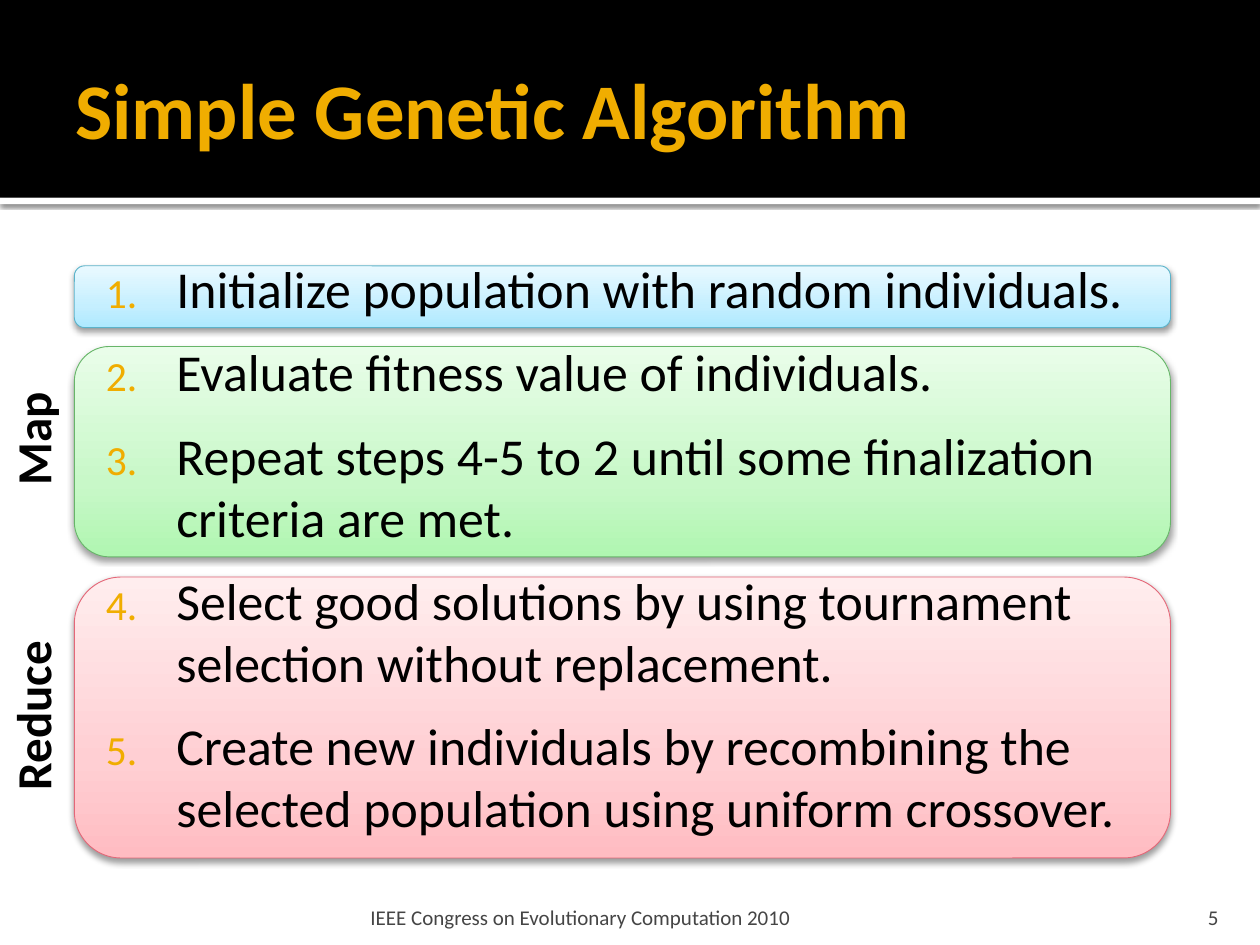
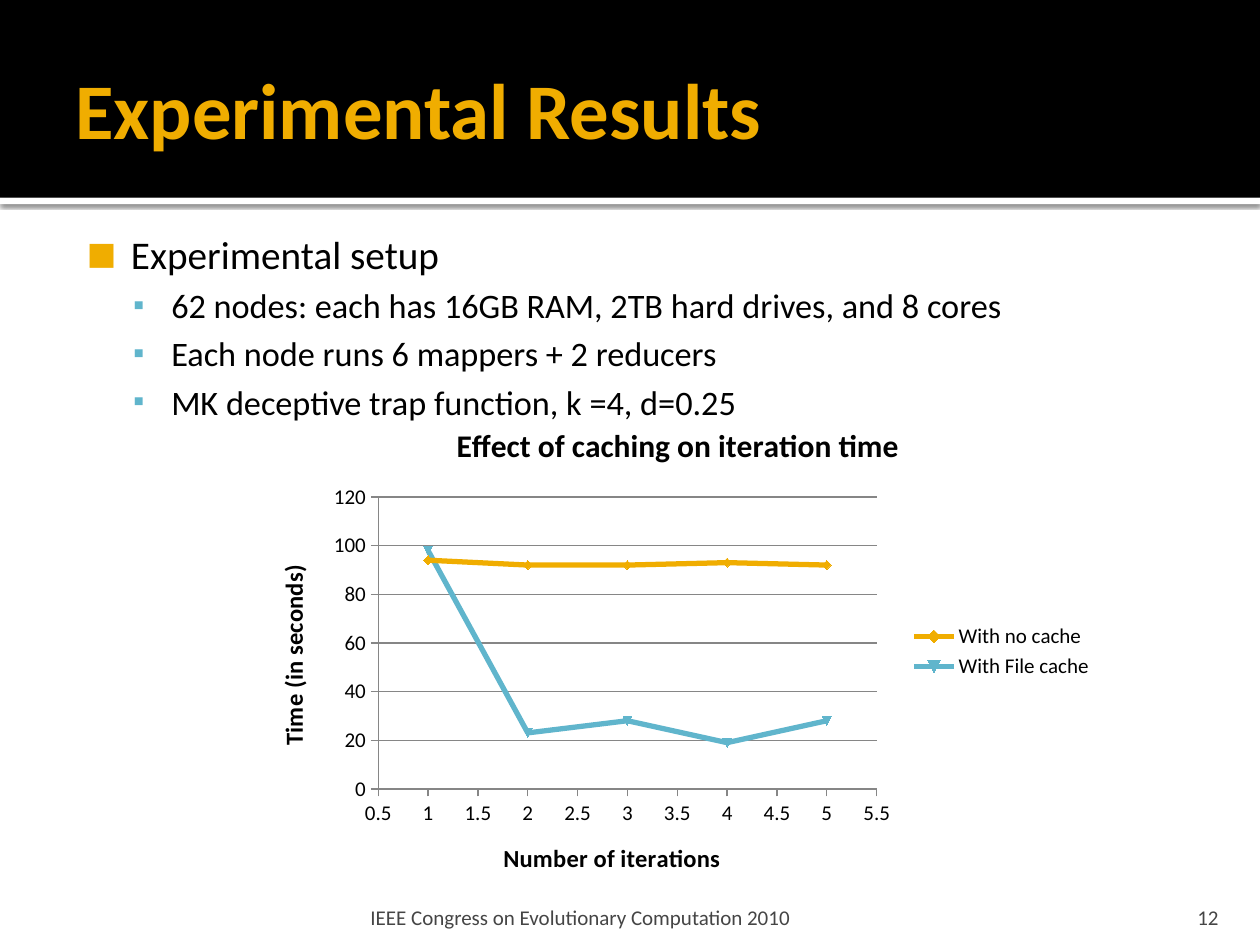
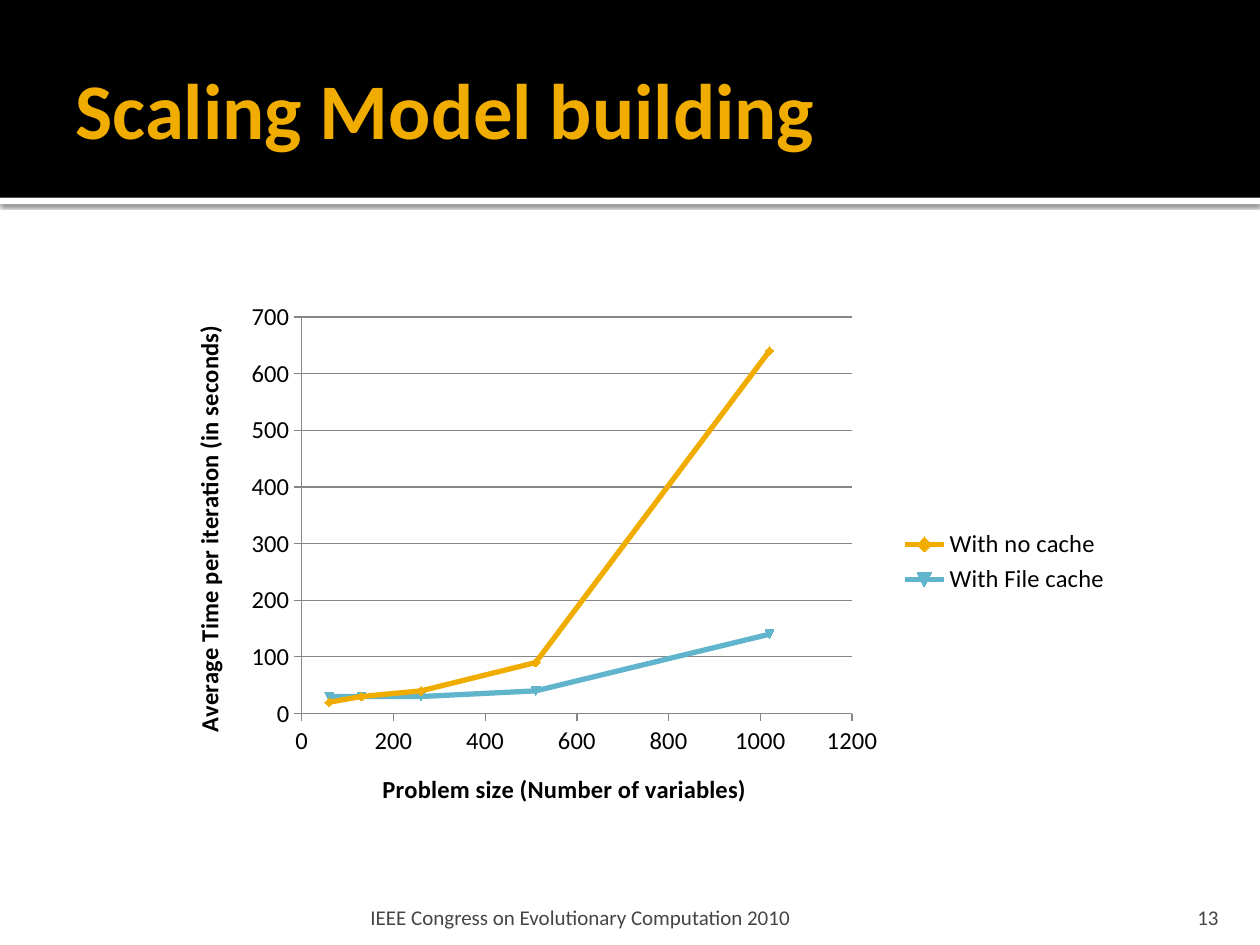
from lxml import etree
from pptx import Presentation
from pptx.chart.data import XyChartData
from pptx.dml.color import RGBColor
from pptx.enum.chart import XL_CHART_TYPE, XL_LEGEND_POSITION, XL_MARKER_STYLE, XL_TICK_MARK
from pptx.enum.shapes import MSO_SHAPE
from pptx.enum.text import MSO_ANCHOR, PP_ALIGN
from pptx.oxml.ns import qn
from pptx.util import Inches, Pt

SCATTER = XL_CHART_TYPE.XY_SCATTER_LINES
RIGHT = XL_LEGEND_POSITION.RIGHT
AUTO = XL_MARKER_STYLE.AUTOMATIC
OUT = XL_TICK_MARK.OUTSIDE
RECT, ROUND = MSO_SHAPE.RECTANGLE, MSO_SHAPE.ROUNDED_RECTANGLE
TOP, MID, LOW = MSO_ANCHOR.TOP, MSO_ANCHOR.MIDDLE, MSO_ANCHOR.BOTTOM
END = PP_ALIGN.RIGHT

FONT = "Calibri"
COLORS = {"black": "000000", "white": "FFFFFF", "gold": "F0AD00",
          "blue": "60B5CC", "gray": "454545", "axis": "868686"}
FOOTER = "IEEE Congress on Evolutionary Computation 2010"

STEPS = [
    "Initialize population with random individuals.",
    "Evaluate fitness value of individuals.",
    "Repeat steps 4-5 to 2 until some finalization criteria are met.",
    "Select good solutions by using tournament selection without replacement.",
    "Create new individuals by recombining the selected population using uniform crossover.",
]
PANELS = [
    (4.58, 2.23, "E46778", ("FFBCC2", "FFCFD3", "FFEDEE")),
    (2.75, 1.67, "67B569", ("B0F6B1", "C8F8C8", "E9FDE9")),
    (2.11, 0.49, "5BB3CA", ("ADE9FF", "C5EFFF", "E9F9FF")),
]
PHASES = [("Map", 3, 0.95), ("Reduce", 4.89, 1.48)]
SETUP = [
    (0, "Experimental setup"),
    (1, "62 nodes: each has 16GB RAM, 2TB hard drives, and 8 cores"),
    (1, "Each node runs 6 mappers + 2 reducers"),
    (1, "MK deceptive trap function, k =4, d=0.25"),
]
LEVELS = [
    dict(size=22.4, left=0.48, hang=0.35, before=0, mark="■", color="gold", scale=80),
    dict(size=19.6, left=0.8, hang=0.3, before=4, mark="▪", color="blue", scale=90),
]
CACHING = dict(
    box=(1.98, 3.18, 6.8, 3.98), title="Effect of caching on iteration time", size=12,
    names=("Number of iterations", "Time (in seconds)"),
    scales=((0.5, 5.5, 0.5), (0, 120, 20)), x=[1, 2, 3, 4, 5],
    series=[("With no cache", "gold", [94, 92, 92, 93, 92]),
            ("With File cache", "blue", [98, 23, 28, 19, 28])])
SCALING = dict(
    box=(1.31, 2.31, 7.6, 4.3), title=None, size=14,
    names=("Problem size (Number of variables)", "Average Time per iteration (in seconds)"),
    scales=((0, 1200, 200), (0, 700, 100)), x=[60, 130, 260, 510, 1020],
    series=[("With no cache", "gold", [20, 30, 40, 90, 640]),
            ("With File cache", "blue", [30, 30, 30, 40, 140])])


def rgb(name):
    return RGBColor.from_string(COLORS.get(name, name))


def add(node, tag, **attrs):
    return etree.SubElement(node, qn(tag), {key: str(val) for key, val in attrs.items()})


def style(font, size, color="black", bold=False):
    font.name, font.size, font.bold = FONT, Pt(size), bold
    font.color.rgb = rgb(color)


def block(slide, kind, box, fill):
    shape = slide.shapes.add_shape(kind, *map(Inches, box))
    shape.shadow.inherit = False
    shape.fill.solid()
    shape.fill.fore_color.rgb = rgb(fill)
    shape.line.fill.background()
    return shape


def shade(shape, alpha, blur, dist):
    glow = add(shape._element.spPr.find(qn("a:effectLst")), "a:outerShdw",
               blurRad=Pt(blur), dist=Pt(dist), dir=5400000, algn="ctr", rotWithShape=0)
    add(add(glow, "a:srgbClr", val=COLORS["black"]), "a:alpha", val=alpha * 1000)


def blend(shape, stops):
    old = shape._element.spPr.find(qn("a:solidFill"))
    grad = etree.Element(qn("a:gradFill"), rotWithShape="1")
    group = add(grad, "a:gsLst")
    for pos, color in zip((0, 35, 100), stops):
        add(add(group, "a:gs", pos=pos * 1000), "a:srgbClr", val=color)
    add(grad, "a:lin", ang=270 * 60000, scaled=1)
    old.getparent().replace(old, grad)


def frame(slide, box, pads=(0.1, 0.05, 0.1, 0.05), anchor=TOP):
    text = slide.shapes.add_textbox(*map(Inches, box)).text_frame
    text.word_wrap = True
    text.vertical_anchor = anchor
    text.margin_left, text.margin_top, text.margin_right, text.margin_bottom = map(Inches, pads)
    return text


def label(slide, box, words, size, color, bold=False, **opts):
    text = frame(slide, box, **opts)
    text.text = words
    style(text.paragraphs[0].runs[0].font, size, color, bold)
    return text


def bullet(para, left, hang, color, scale, mark=None):
    props = para._p.get_or_add_pPr()
    props.set("marL", str(Inches(left)))
    props.set("indent", str(-Inches(hang)))
    add(add(props, "a:buClr"), "a:srgbClr", val=COLORS[color])
    add(props, "a:buSzPct", val=scale * 1000)
    add(props, "a:buFont", typeface=FONT)
    if mark:
        add(props, "a:buChar", char=mark)
    else:
        add(props, "a:buAutoNum", type="arabicPeriod")


def start(deck, title, number):
    slide = deck.slides.add_slide(deck.slide_layouts[6])
    shade(block(slide, RECT, (0, 1.57, 10, 0.05), "white"), 60, 2.5, 0.8)
    block(slide, RECT, (0, 0, 10, 1.57), "black")
    label(slide, (0.5, 0.17, 9, 1.37), title, 45, "gold", True,
          pads=(0.1, 0.05, 0.05, 0.05), anchor=MID)
    label(slide, (2.89, 7.08, 6.02, 0.3), FOOTER, 12, "gray",
          pads=(0.05, 0.05, 0.05, 0), anchor=LOW)
    page = label(slide, (8.97, 7.08, 0.8, 0.3), str(number), 12, "gray",
                 pads=(0.1, 0.05, 0.1, 0), anchor=LOW)
    page.paragraphs[0].alignment = END
    return slide


def body(slide, box, lines):
    text = frame(slide, box, pads=(0.06, 0.1, 0.1, 0.05))
    text.text = "\n".join(lines)
    return text.paragraphs


def heading(text, words, size):
    text.text = words
    style(text.paragraphs[0].runs[0].font, size, bold=True)


def plot(slide, info):
    data = XyChartData()
    for name, _, values in info["series"]:
        series = data.add_series(name)
        for x, y in zip(info["x"], values):
            series.add_data_point(x, y)
    chart = slide.shapes.add_chart(SCATTER, *map(Inches, info["box"]), data).chart
    style(chart.font, 10)
    chart.has_title = bool(info["title"])
    if info["title"]:
        heading(chart.chart_title.text_frame, info["title"], 18)
    chart.has_legend = True
    chart.legend.position = RIGHT
    chart.legend.include_in_layout = False
    style(chart.legend.font, info["size"])
    axes = (chart.category_axis, chart.value_axis)
    for axis, name, (low, high, step) in zip(axes, info["names"], info["scales"]):
        heading(axis.axis_title.text_frame, name, 14)
        axis.minimum_scale, axis.maximum_scale, axis.major_unit = low, high, step
        axis.major_tick_mark = OUT
        axis.tick_labels.number_format = "General"
        axis.tick_labels.number_format_is_linked = False
        style(axis.tick_labels.font, info["size"])
        axis.format.line.color.rgb = rgb("axis")
    chart.category_axis.has_major_gridlines = False
    chart.value_axis.major_gridlines.format.line.color.rgb = rgb("axis")
    chart.plots[0].vary_by_categories = False
    for series, (_, color, _) in zip(chart.plots[0].series, info["series"]):
        series.smooth = False
        series.format.line.width = Pt(3)
        series.format.line.color.rgb = rgb(color)
        series.marker.style, series.marker.size = AUTO, 5
        series.marker.format.fill.solid()
        series.marker.format.fill.fore_color.rgb = rgb(color)
        series.marker.format.line.color.rgb = rgb(color)


def steps(deck):
    slide = start(deck, "Simple Genetic Algorithm", 5)
    for top, high, edge, stops in PANELS:
        panel = block(slide, ROUND, (0.59, top, 8.7, high), stops[0])
        blend(panel, stops)
        panel.line.color.rgb = rgb(edge)
        panel.line.width = Pt(0.5)
        shade(panel, 38, 3.5, 2)
    for para in body(slide, (0.65, 1.94, 9, 5.06), STEPS):
        para.space_after = Pt(12)
        bullet(para, 0.69, 0.56, "gold", 80)
        style(para.runs[0].font, 29.6)
    for name, top, high in PHASES:
        text = label(slide, (-0.03, top, 0.67, high), name, 28, "black", True)
        text._txBody.bodyPr.set("vert", "vert270")


def results(deck):
    slide = start(deck, "Experimental Results", 12)
    paras = body(slide, (0.5, 1.73, 9, 1.5), [words for _, words in SETUP])
    for para, (depth, _) in zip(paras, SETUP):
        level = LEVELS[depth]
        para.level = depth
        para.space_before = Pt(level["before"])
        bullet(para, level["left"], level["hang"], level["color"], level["scale"], level["mark"])
        style(para.runs[0].font, level["size"])
    plot(slide, CACHING)


def main():
    deck = Presentation()
    deck.slide_width, deck.slide_height = Inches(10), Inches(7.5)
    steps(deck)
    results(deck)
    plot(start(deck, "Scaling Model building", 13), SCALING)
    deck.save("out.pptx")


if __name__ == "__main__":
    main()
